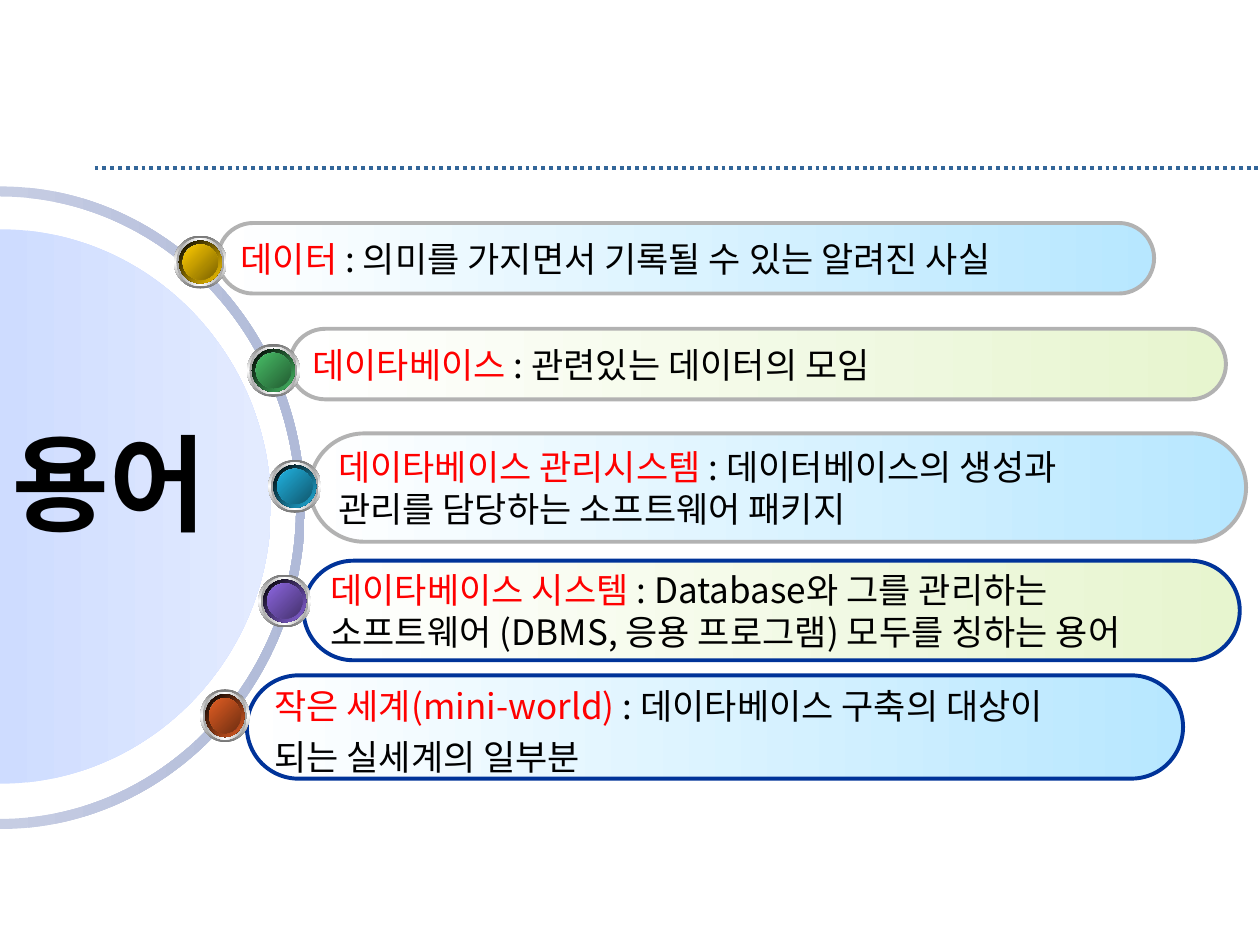
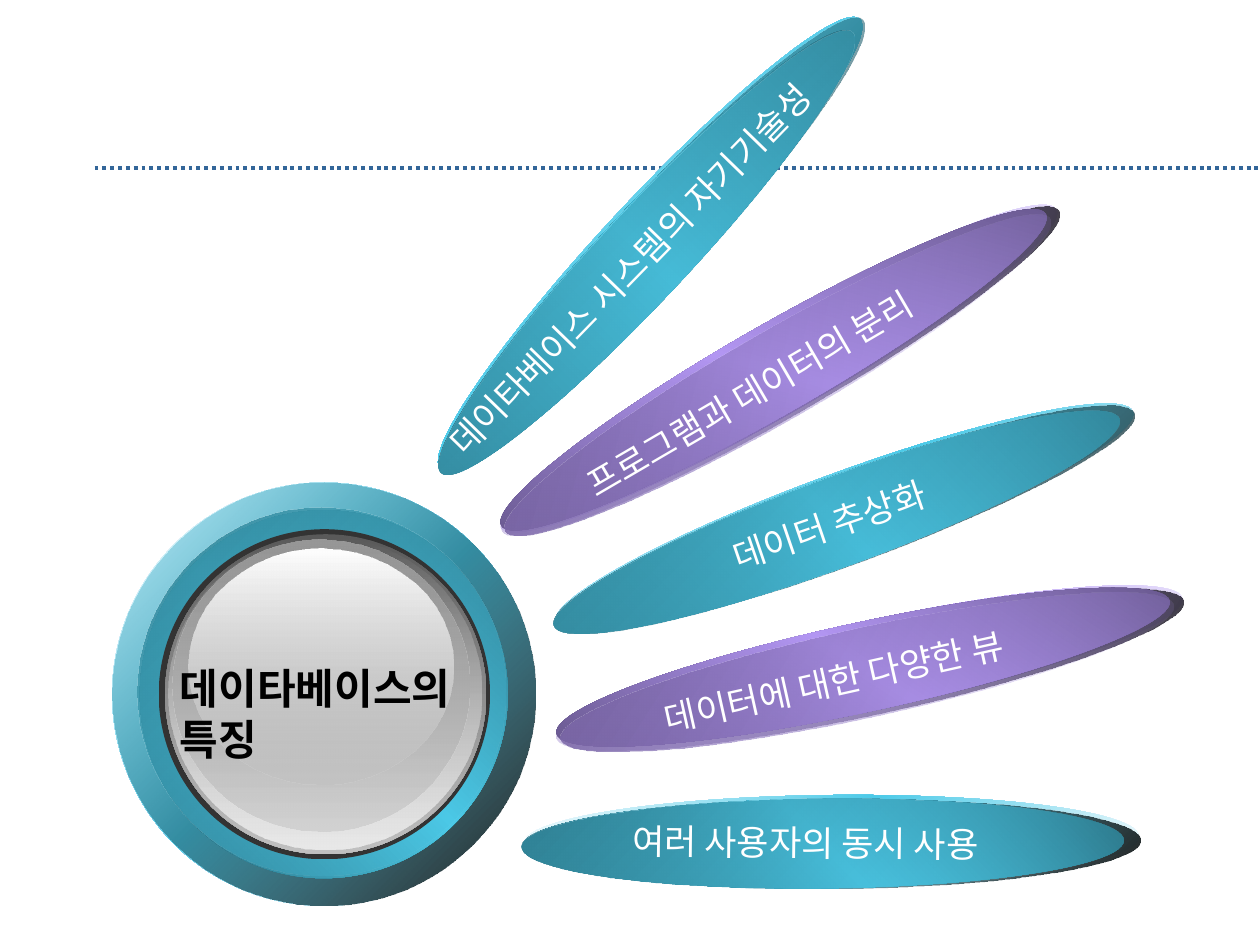
from pptx import Presentation
from pptx.dml.color import RGBColor
from pptx.enum.dml import MSO_LINE
from pptx.enum.shapes import MSO_CONNECTOR, MSO_SHAPE
from pptx.enum.text import MSO_ANCHOR, MSO_AUTO_SIZE, PP_ALIGN
from pptx.oxml import parse_xml
from pptx.oxml.ns import nsdecls, qn
from pptx.util import Inches, Pt

FONT = "Noto Sans CJK KR"
BEND = 0.55
COLORS = {
    "white": "FFFFFF", "black": "000000", "red": "FF0000", "rule": "336699",
    "navy": "003399", "gray": "B2B2B2", "sky": "B7E7FF", "lime": "E7F5CF",
    "arc": "C6CDE3", "arc_end": "B0BAD8", "disc": "CEDCFF", "disc_end": "E3EBFF",
    "steel": "767676", "zinc": "A2A2A2", "ice": "CCECFF", "mist": "9CB5C3",
    "gold": "FFCC00", "gold_low": "7C6300", "green": "48BE67", "green_low": "235C32",
    "cyan": "21B3E1", "cyan_low": "10576D", "plum": "8D67E1", "plum_low": "45326D",
    "rust": "E35E23", "rust_low": "6E2E11",
    "teal": "4CCAE8", "teal_low": "296D7E", "teal_mid": "308093",
    "lilac": "B296F2", "lilac_low": "605183", "lilac_mid": "715F9A",
    "coal": "333333", "ash": "595959", "silver": "C0C0C0", "pale": "E9E9E9",
    "stone": "989898",
}
BARS = [
    (1.73, 1.77, 0.56, "sky", "gray", 1,
     ["데이터 |: 의미를 가지면서 기록될 수 있는 알려진 사실"]),
    (2.3, 2.61, 0.56, "lime", "gray", 1, ["데이타베이스 |: 관련있는 데이터의 모임"]),
    (2.46, 3.44, 0.86, "sky", "gray", 1,
     ["데이타베이스 관리시스템 |: 데이터베이스의 생성과",
      "관리를 담당하는 소프트웨어 패키지"]),
    (2.41, 4.45, 0.79, "lime", "navy", 1,
     ["데이타베이스 시스템 |: Database와 그를 관리하는",
      "소프트웨어 (DBMS, 응용 프로그램) 모두를 칭하는 용어"]),
    (1.96, 5.36, 0.82, "sky", "navy", 1.2,
     ["작은 세계(mini-world) |: 데이타베이스 구축의 대상이", "되는 실세계의 일부분"]),
]
BALLS = [(1.38, 1.87, 0.42, "gold"), (1.96, 2.73, 0.42, "green"),
         (2.13, 3.65, 0.42, "cyan"), (2.05, 4.56, 0.42, "plum"),
         (1.59, 5.47, 0.39, "rust")]
PETALS = [
    (2.72, 1.58, 4.88, 313, "teal", [(0.01, 0.01), (0.02, 0.07), (0.02, 0.07)],
     (2.85, 1.76, 4.6, 314.2), "데이타베이스 시스템의 자기기술성"),
    (3.64, 2.57, 5.08, 330.2, "lilac", [(0.01, 0.02), (0.01, 0.01), (0.04, 0.05)],
     (4.36, 2.82, 3.47, 329.7), "프로그램과 데이터의 분리"),
    (4.26, 3.75, 4.88, 339.9, "teal", [(0, 0.02), (-0.01, 0.04), (-0.01, 0.04)],
     (5.68, 3.92, 1.98, 341.1), "데이터 추상화"),
    (4.36, 4.93, 5.08, 347.8, "lilac", [(0, 0.03), (0, 0.01), (0.03, 0.05)],
     (5.14, 5.15, 3.29, 347.3), "데이터에 대한 다양한 뷰"),
    (4.16, 6.31, 4.88, 359.4, "teal", [(0, 0.03), (-0.02, 0.03), (-0.02, 0.03)],
     (4.92, 6.47, 3.29, 0.6), "여러 사용자의 동시 사용"),
]


def tone(name):
    """Return a palette colour."""
    return RGBColor.from_string(COLORS[name])


def blend(shape, stops, angle, follow=1):
    """Fill a shape with evenly spaced stops, each a name or name:opacity."""
    names = stops.split()
    marks = ""
    for i, stop in enumerate(names):
        name, _, clear = stop.partition(":")
        alpha = f'<a:alpha val="{int(clear) * 1000}"/>' if clear else ""
        marks += (f'<a:gs pos="{100000 * i // (len(names) - 1)}">'
                  f'<a:srgbClr val="{COLORS[name]}">{alpha}</a:srgbClr></a:gs>')
    shape.fill.background()
    props = shape._element.spPr
    props.replace(props.find(qn("a:noFill")), parse_xml(
        f'<a:gradFill {nsdecls("a")} rotWithShape="{follow}"><a:gsLst>{marks}</a:gsLst>'
        f'<a:lin ang="{angle * 60000}" scaled="1"/></a:gradFill>'))
    shape.line.fill.background()
    shape.shadow.inherit = False


def oval(shapes, box, stops, angle=0, turn=0, follow=1):
    """Add a gradient ellipse."""
    shape = shapes.add_shape(MSO_SHAPE.OVAL, *map(Inches, box))
    blend(shape, stops, angle, follow)
    shape.rotation = turn


def style(run, size, color, bold=False):
    """Format a run in the shared font."""
    run.font.name, run.font.size, run.font.bold = FONT, Pt(size), bold
    run.font.color.rgb = tone(color)


def label(shapes, box, text, size, color, bold=False, wrap=False, turn=0):
    """Add a left-aligned text box."""
    shape = shapes.add_textbox(*map(Inches, box))
    shape.rotation = turn
    frame = shape.text_frame
    frame.text = text
    frame.word_wrap = wrap
    for para in frame.paragraphs:
        para.alignment = PP_ALIGN.LEFT
        style(para.runs[0], size, color, bold)
    return frame


def start(deck):
    """Add a blank slide and return its shapes."""
    return deck.slides.add_slide(deck.slide_layouts[6]).shapes


def rule(slide):
    """Draw the dotted rule on the layout behind a slide."""
    line = slide.shapes.add_connector(MSO_CONNECTOR.STRAIGHT, Inches(0.75),
                                      Inches(1.33), Inches(10), Inches(1.33))
    line.line.color.rgb = tone("rule")
    line.line.width = Pt(2.25)
    line.line.dash_style = MSO_LINE.ROUND_DOT
    line._element.spPr.append(parse_xml(f'<a:effectLst {nsdecls("a")}/>'))
    slide.slide_layout.shapes._spTree.append(line._element)


def curve(mid, wide, high):
    """List the seven Bezier points of the right half of an ellipse."""
    knots = ((0, -1), (BEND, -1), (1, -BEND), (1, 0), (1, BEND), (BEND, 1), (0, 1))
    return [(Inches(wide * x), Inches(mid + high * y)) for x, y in knots]


def dome(shapes, points, stops):
    """Add a closed outline of half ellipses with a gradient."""
    pen = shapes.build_freeform(*points[0])
    pen.add_line_segments(points[1:], close=True)
    shape = pen.convert_to_shape()
    steps = list(shape._element.iter(qn("a:lnTo")))
    for half in range(0, len(points), 7):
        for first in (half, half + 3):
            bend = parse_xml(f'<a:cubicBezTo {nsdecls("a")}/>')
            steps[first].addprevious(bend)
            for step in steps[first:first + 3]:
                bend.append(step[0])
                step.getparent().remove(step)
    blend(shape, stops, 0)


def bar(shapes, left, top, high, fill, edge, space, lines):
    """Add a term bar, with the term in red before the mark."""
    shape = shapes.add_shape(MSO_SHAPE.ROUNDED_RECTANGLE, Inches(left), Inches(top),
                             Inches(7.43), Inches(high))
    shape.adjustments[0] = 0.5
    blend(shape, f"white {fill}", 0)
    shape.line.color.rgb = tone(edge)
    shape.line.width = Pt(2.25)
    frame = shape.text_frame
    frame.word_wrap = False
    frame.vertical_anchor = MSO_ANCHOR.MIDDLE
    for i, line in enumerate(lines):
        para = frame.add_paragraph() if i else frame.paragraphs[0]
        para.alignment = PP_ALIGN.LEFT
        para.line_spacing = space
        term, _, rest = line.rpartition("|")
        for text, color in ((term, "red"), (rest, "black")):
            if text:
                run = para.add_run()
                run.text = text
                style(run, 20, color)


def ball(shapes, left, top, wide, tint):
    """Add a shiny ball as nested ellipses."""
    group = shapes.add_group_shape().shapes
    for inset, stops, angle in (
            (0, "steel white steel", 90), (0.02, "zinc white zinc", 0),
            (0.04, "white ice white", 45), (0.04, f"black {tint}", 45),
            (0.07, "mist ice mist", 315), (0.07, f"{tint} {tint}_low", 45)):
        oval(group, (left + inset, top + inset, wide - 2 * inset, 0.42 - 2 * inset),
             stops, angle)


def skin(shapes, boxes, tint, turn=0):
    """Add the four layers of a glossy tinted ellipse."""
    layers = ((f"white {tint} white", 45), (f"{tint}:32 black:90", 45),
              (f"{tint}_low {tint} {tint}_low", 315), (f"{tint}_mid {tint}:0", 45))
    for box, (stops, angle) in zip(boxes, layers):
        oval(shapes, box, stops, angle, turn, int(tint == "lilac"))


def petal(shapes, left, top, wide, turn, tint, shifts, spot, text):
    """Add a tilted petal with its label."""
    group = shapes.add_group_shape().shapes
    sizes = (wide, wide + 0.01, wide - 0.1, wide - 0.1)
    boxes = [(left + x, top + y, size, 0.71)
             for (x, y), size in zip([(0, 0)] + shifts, sizes)]
    skin(group, boxes, tint, turn)
    x, y, span, tilt = spot
    frame = label(group, (x, y, span, 0.44), text, 20, "white", turn=tilt)
    frame.auto_size = MSO_AUTO_SIZE.SHAPE_TO_FIT_TEXT


def hub(shapes, left, top):
    """Add the round hub with its caption."""
    group = shapes.add_group_shape().shapes
    rims = ((0, 3.36), (0, 3.36), (0.22, 2.92), (0.2, 2.92))
    skin(group, [(left + d, top + d, size, size) for d, size in rims], "teal")
    for x, y, wide, high, stops in (
            (0.37, 0.37, 2.63, 2.62, "coal coal"),
            (0.42, 0.41, 2.55, 2.54, "ash silver"),
            (0.45, 0.43, 2.48, 2.48, "silver:0 pale"),
            (0.48, 0.45, 2.36, 2.32, "stone silver:48"),
            (0.61, 0.52, 2.1, 1.88, "white silver:38")):
        oval(group, (left + x, top + y, wide, high), stops, 90)
    frame = label(group, (left + 0.44, top + 1.38, 3.3, 0.91),
                  "데이타베이스의\n특징", 24, "black", True, True)
    frame.auto_size = MSO_AUTO_SIZE.SHAPE_TO_FIT_TEXT


def terms(deck):
    """Build the slide of terms."""
    shapes = start(deck)
    ring = curve(4.03, 2.42, 2.55) + curve(4.03, 2.35, 2.47)[::-1]
    dome(shapes, ring, "arc arc_end")
    dome(shapes, curve(4.02, 2.15, 2.2), "disc disc_end")
    for item in reversed(BARS):
        bar(shapes, *item)
    for item in BALLS:
        ball(shapes, *item)
    frame = label(shapes, (0, 3.52, 2.19, 0.61), "용어", 60, "black", True, True)
    frame.vertical_anchor = MSO_ANCHOR.MIDDLE


def traits(deck):
    """Build the slide of traits."""
    shapes = start(deck)
    for item in PETALS[:2]:
        petal(shapes, *item)
    hub(shapes, 0.89, 3.83)
    for item in PETALS[2:]:
        petal(shapes, *item)


def main():
    """Build and save the deck."""
    deck = Presentation()
    deck.slide_width, deck.slide_height = Inches(10), Inches(7.5)
    terms(deck)
    traits(deck)
    rule(deck.slides[0])
    deck.save("out.pptx")


if __name__ == "__main__":
    main()
